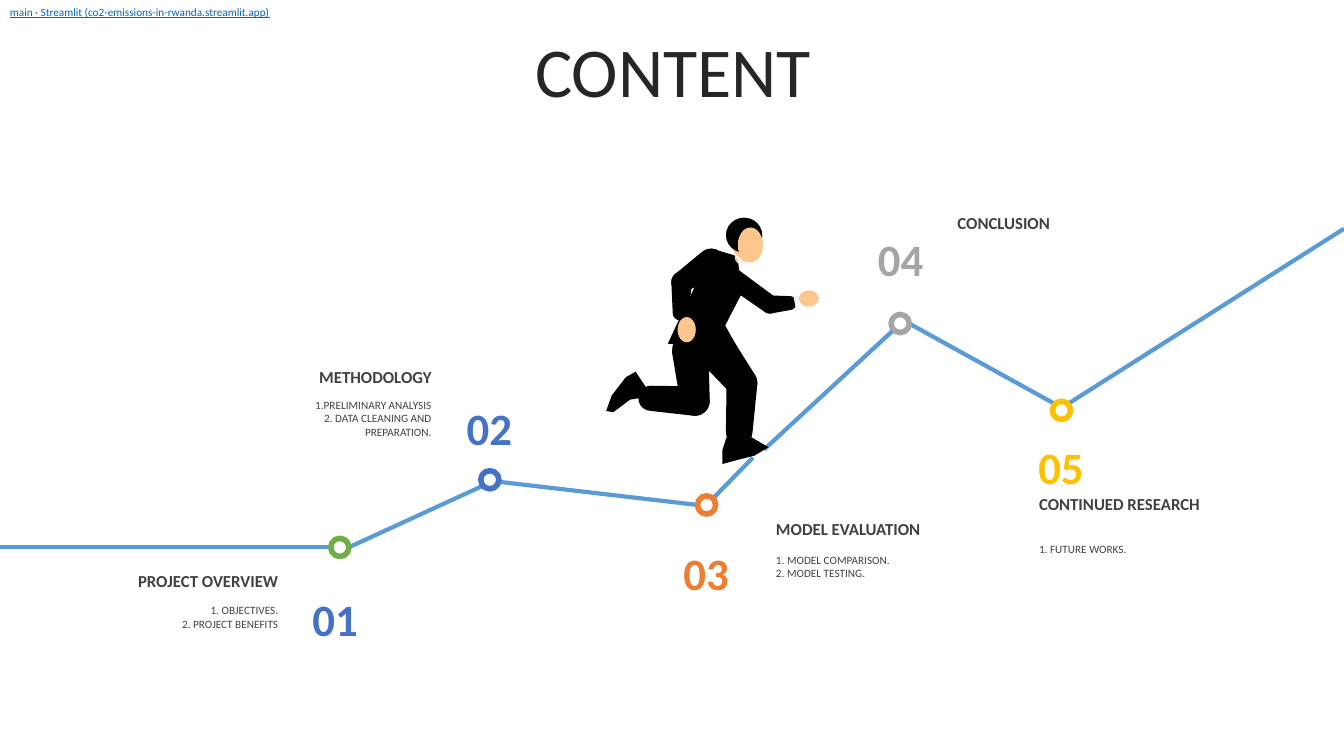
from dataclasses import dataclass
from itertools import pairwise
from math import atan2, cos, pi, sin

from lxml import etree
from pptx import Presentation
from pptx.dml.color import RGBColor
from pptx.enum.shapes import MSO_CONNECTOR, MSO_SHAPE
from pptx.enum.text import MSO_ANCHOR, PP_ALIGN
from pptx.oxml.ns import qn
from pptx.util import Pt

LEFT, CENTER, RIGHT = PP_ALIGN.LEFT, PP_ALIGN.CENTER, PP_ALIGN.RIGHT
TOP, MIDDLE = MSO_ANCHOR.TOP, MSO_ANCHOR.MIDDLE
STRAIGHT = MSO_CONNECTOR.STRAIGHT
OVAL = MSO_SHAPE.OVAL

FONT = "Calibri"
WHITE = RGBColor(0xFF, 0xFF, 0xFF)
BLACK = RGBColor(0x00, 0x00, 0x00)
TITLE_GRAY = RGBColor(0x26, 0x26, 0x26)
TEXT_GRAY = RGBColor(0x40, 0x40, 0x40)
LINK_BLUE = RGBColor(0x05, 0x63, 0xC1)
ROUTE_BLUE = RGBColor(0x5B, 0x9B, 0xD5)
GREEN = RGBColor(0x70, 0xAD, 0x47)
BLUE = RGBColor(0x44, 0x72, 0xC4)
ORANGE = RGBColor(0xED, 0x7D, 0x31)
GRAY = RGBColor(0xA5, 0xA5, 0xA5)
YELLOW = RGBColor(0xFF, 0xC0, 0x00)
SKIN = RGBColor(0xFD, 0xC6, 0x8E)
CUFF_GRAY = RGBColor(0xF2, 0xF2, 0xF2)
SHIRT_WHITE = RGBColor(0xFD, 0xFD, 0xFD)

MARKER_SIZE = 13
NUMBER_WIDTH, NUMBER_HEIGHT = 58.3, 46.1
HEADING_HEIGHT = 21.8
DETAIL_PADDING, DETAIL_LINE = 7.2, 9.7

# Stretches of the route, from left to right
ROUTE = [
    ((0, 391), (236.2, 391)),
    ((249.1, 391), (344.9, 347)),
    ((349.9, 343.4), (498.2, 360.7)),
    ((504.7, 360.7), (537.8, 326.9)),
    ((545.8, 321.1), (638.6, 235.4)),
    ((649.4, 231.1), (753.8, 288.7)),
    ((762.5, 288.7), (960, 163.4)),
]


@dataclass
class Milestone:
    """Number and heading are offsets from the marker's top left corner."""
    label: str
    marker: tuple
    marker_color: RGBColor
    number_color: RGBColor
    number: tuple
    heading: tuple
    width: float
    align: PP_ALIGN
    title: str
    details: tuple = ()
    detail_gap: float = 0


MILESTONES = [
    Milestone("01", (236.2, 384.5), GREEN, BLUE, number=(-26, 34.5),
              heading=(-181.5, 19.4), width=151.2, align=RIGHT, title="PROJECT OVERVIEW",
              details=("1. OBJECTIVES.", "2. PROJECT BENEFITS"), detail_gap=23.8),
    Milestone("02", (343.4, 336.2), BLUE, BLUE, number=(-23, -54),
              heading=(-164.1, -77.7), width=136.1, align=RIGHT, title="METHODOLOGY",
              details=("1.PRELIMINARY ANALYSIS", "2. DATA CLEANING AND PREPARATION."),
              detail_gap=22.3),
    Milestone("03", (498.2, 354.2), ORANGE, ORANGE, number=(-23, 31.7),
              heading=(49, 13), width=145.4, align=LEFT, title="MODEL EVALUATION",
              details=("1. MODEL COMPARISON.", "2. MODEL TESTING."), detail_gap=24.5),
    Milestone("04", (636.5, 224.6), GRAY, GRAY, number=(-22.3, -62.6),
              heading=(40.3, -76.3), width=136.1, align=LEFT, title="CONCLUSION"),
    Milestone("05", (751.7, 286.6), YELLOW, YELLOW, number=(-23, 23.7),
              heading=(-16.6, 62.6), width=169.2, align=LEFT, title="CONTINUED RESEARCH",
              details=("1. FUTURE WORKS.",), detail_gap=34.6),
]


def add_text(slide, box, lines, *, size, color, align=LEFT, anchor=TOP,
             bold=False, underline=False, line_spacing=None):
    text_box = slide.shapes.add_textbox(*(Pt(length) for length in box))
    frame = text_box.text_frame
    frame.word_wrap = True
    frame.vertical_anchor = anchor
    frame.text = "\n".join(lines)
    for paragraph in frame.paragraphs:
        paragraph.alignment = align
        paragraph.line_spacing = line_spacing
        font = paragraph.runs[0].font
        font.name, font.size, font.bold = FONT, Pt(size), bold
        font.underline = underline
        font.color.rgb = color


def paint(shape, fill, line=None, line_width=0):
    shape.shadow.inherit = False
    shape.fill.solid()
    shape.fill.fore_color.rgb = fill
    if line is None:
        shape.line.fill.background()
    else:
        shape.line.color.rgb = line
        shape.line.width = Pt(line_width)


def add_oval(slide, box, fill, **line_format):
    oval = slide.shapes.add_shape(OVAL, *(Pt(length) for length in box))
    paint(oval, fill, **line_format)


def add_polygon(slide, origin, points, fill):
    left, top = origin
    corners = [(Pt(left + x), Pt(top + y)) for x, y in points]
    builder = slide.shapes.build_freeform(*corners[0])
    builder.add_line_segments(corners[1:], close=True)
    paint(builder.convert_to_shape(), fill)


def half_circle(x, y, radius, start_angle, steps=10):
    angles = [start_angle + pi * step / steps for step in range(steps + 1)]
    return [(x + radius * cos(angle), y + radius * sin(angle)) for angle in angles]


def add_limb(slide, origin, joints, fill):
    """Join each two neighbouring joints (x, y, radius) by a tapered, round-ended bar."""
    for (x1, y1, radius1), (x2, y2, radius2) in pairwise(joints):
        direction = atan2(y2 - y1, x2 - x1)
        outline = (half_circle(x1, y1, radius1, direction + pi / 2)
                   + half_circle(x2, y2, radius2, direction - pi / 2))
        add_polygon(slide, origin, outline, fill)


def draw_route(slide, left, top):
    for (x1, y1), (x2, y2) in ROUTE:
        line = slide.shapes.add_connector(
            STRAIGHT, Pt(left + x1), Pt(top + y1), Pt(left + x2), Pt(top + y2))
        line.line.color.rgb = ROUTE_BLUE
        line.line.width = Pt(3)
        etree.SubElement(line._element.spPr, qn("a:effectLst"))


def draw_milestone(slide, milestone):
    left, top = milestone.marker
    add_oval(slide, (left, top, MARKER_SIZE, MARKER_SIZE), WHITE,
             line=milestone.marker_color, line_width=4)

    number_x, number_y = milestone.number
    add_text(slide, (left + number_x, top + number_y, NUMBER_WIDTH, NUMBER_HEIGHT),
             [milestone.label], size=32, color=milestone.number_color,
             align=CENTER, anchor=MIDDLE, bold=True)

    text_left, text_top = left + milestone.heading[0], top + milestone.heading[1]
    add_text(slide, (text_left, text_top, milestone.width, HEADING_HEIGHT),
             [milestone.title], size=12, color=TEXT_GRAY, align=milestone.align, bold=True)
    if milestone.details:
        height = DETAIL_PADDING + DETAIL_LINE * len(milestone.details)
        add_text(slide, (text_left, text_top + milestone.detail_gap, milestone.width, height),
                 milestone.details, size=8, color=TEXT_GRAY, align=milestone.align)


def draw_runner(slide, left, top):
    """Build the figure from jointed limbs, a jacket, shoes and a plain head."""
    origin = left, top
    back_leg = [(61, 95, 13), (64.5, 131, 10.5), (33, 129, 9)]
    front_leg = [(80, 95, 14), (98, 118, 11), (96, 153, 9.5)]
    back_arm = [(76, 32, 10), (55, 46, 7.5), (54, 68, 5.5)]
    front_arm = [(90, 42, 7), (118, 62, 6.5), (132, 61, 5)]
    neck = [(97, 22, 5), (97, 29, 4)]
    cuff = [(136.5, 57, 1.5), (138, 65, 1.5)]
    back_shoe = [(30, 122), (22, 110), (15, 114), (5, 127), (1, 138), (6, 139), (18, 130), (30, 128)]
    front_shoe = [(87, 157), (84, 166), (84, 176), (95, 173), (107, 170), (117, 164), (105, 157)]
    jacket = [(76, 22), (93, 27), (102, 46), (86, 77), (96, 95), (45, 90), (52, 75), (63, 52)]
    shirt = [(92, 25), (101, 33), (102, 43), (98, 50), (95, 30)]

    for limb in (back_leg, front_leg, back_arm):
        add_limb(slide, origin, limb, BLACK)
    for garment in (back_shoe, front_shoe, jacket):
        add_polygon(slide, origin, garment, BLACK)
    add_limb(slide, origin, neck, SKIN)
    add_polygon(slide, origin, shirt, SHIRT_WHITE)
    add_limb(slide, origin, front_arm, BLACK)
    add_limb(slide, origin, cuff, CUFF_GRAY)

    hair, face = (86.5, 0, 26, 25), (95, 7, 18, 25)
    front_hand, back_hand = (138.5, 52, 14.5, 11.5), (52, 71, 13, 18)
    for (x, y, width, height), color in (
            (hair, BLACK), (face, SKIN), (front_hand, SKIN), (back_hand, SKIN)):
        add_oval(slide, (left + x, top + y, width, height), color)


def main():
    presentation = Presentation()
    presentation.slide_width, presentation.slide_height = Pt(960), Pt(540)
    slide = presentation.slides.add_slide(presentation.slide_layouts[6])
    add_text(slide, (25.2, 26.6, 911.5, 56.9), ["CONTENT"], size=50, color=TITLE_GRAY,
             align=CENTER, anchor=MIDDLE, line_spacing=0.8)
    draw_route(slide, 0, 0)
    for milestone in MILESTONES:
        draw_milestone(slide, milestone)
    draw_runner(slide, 432, 155.5)
    add_text(slide, (0, 0, 231.8, 17), ["main · Streamlit (co2-emissions-in-rwanda.streamlit.app)"],
             size=8, color=LINK_BLUE, underline=True)
    presentation.save("out.pptx")


if __name__ == "__main__":
    main()
